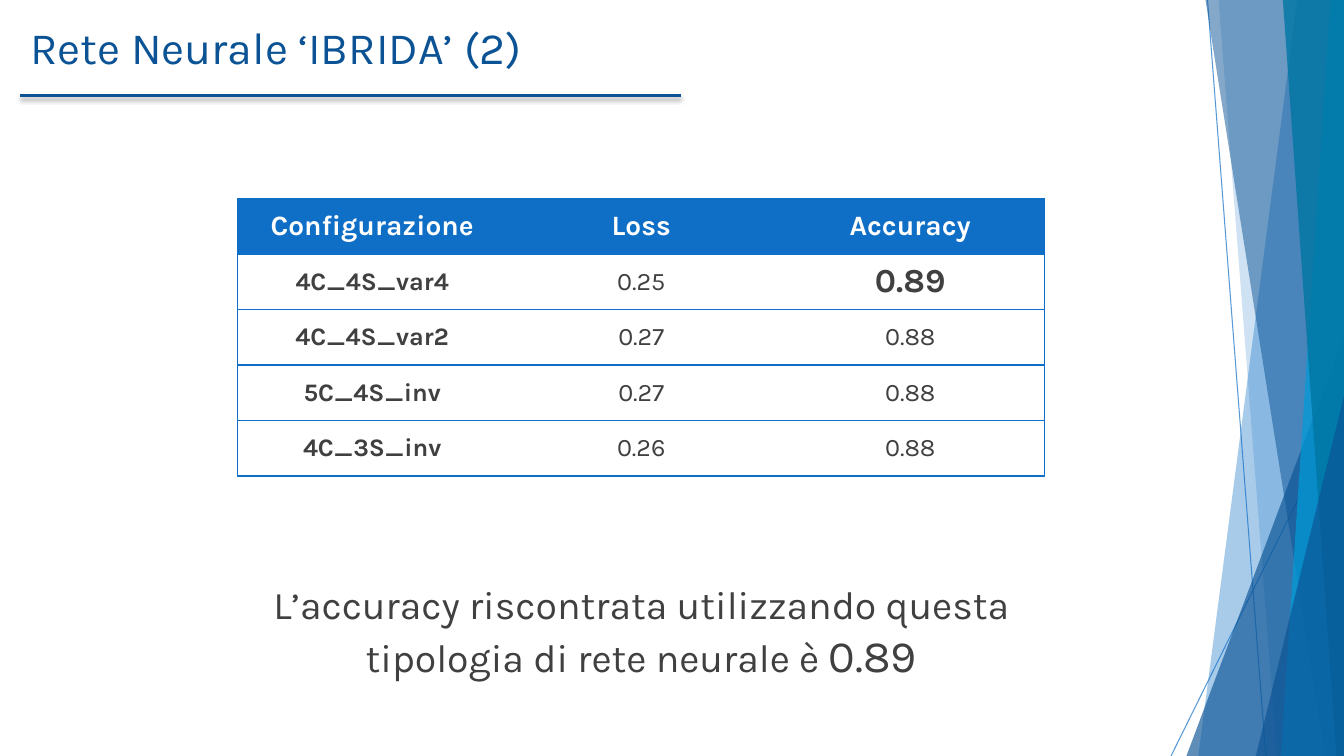
from dataclasses import dataclass

from lxml import etree
from pptx import Presentation
from pptx.dml.color import RGBColor
from pptx.enum.shapes import MSO_CONNECTOR, MSO_SHAPE
from pptx.enum.text import MSO_ANCHOR, PP_ALIGN
from pptx.oxml import parse_xml
from pptx.oxml.ns import nsdecls, qn
from pptx.util import Cm, Pt

STRAIGHT = MSO_CONNECTOR.STRAIGHT
TRIANGLE = MSO_SHAPE.ISOSCELES_TRIANGLE
LEFT, CENTER = PP_ALIGN.LEFT, PP_ALIGN.CENTER
MIDDLE = MSO_ANCHOR.MIDDLE


@dataclass(frozen=True)
class Theme:
    font: str = "Karla"
    blue: str = "0F6FC6"
    navy: str = "0B5394"
    sky: str = "009DD9"
    teal: str = "0076A3"
    ink: str = "404040"
    white: str = "FFFFFF"
    large: int = 32
    statement: int = 28
    best: int = 24
    header: int = 20
    body: int = 18


THEME = Theme()

# Content
TITLE = "Rete Neurale ‘IBRIDA’ (2)"
RESULTS = [
    ("Configurazione", "Loss", "Accuracy"),
    ("4C_4S_var4", "0.25", "0.89"),
    ("4C_4S_var2", "0.27", "0.88"),
    ("5C_4S_inv", "0.27", "0.88"),
    ("4C_3S_inv", "0.26", "0.88"),
]
BEST_CELL = (1, 2)
STATEMENT = [
    ("L’accuracy riscontrata utilizzando questa tipologia di rete neurale è ",
     THEME.statement),
    ("0.89", THEME.large),
]

# Geometry in centimetres
WIDTH, HEIGHT = 33.87, 19.05
TITLE_BOX = (0.51, 0.36, 19.18, 2.13)
TITLE_RULE = (0.51, 2.41, 17.17, 2.41)
TABLE_LEFT, TABLE_TOP = 5.99, 5.0
COLUMN_WIDTH, ROW_HEIGHT = 6.78, 1.4
STATEMENT_BOX = (5.38, 14.5, 21.56, 2.82)
THIN_LINES = [(30.43, 0, 31.9, HEIGHT), (WIDTH, 10.24, 29.51, HEIGHT)]
# Facets reach the right edge: band (top x, bottom x) or triangle (left, top)
FACETS = [
    ("band", 32.69, 30.2, THEME.blue, 36),
    ("band", 30.71, 32.18, THEME.blue, 20),
    ("triangle", 29.9, 8.46, THEME.navy, 66),
    ("band", 30.38, 33.4, THEME.navy, 50),
    ("band", 33.53, 32.28, THEME.sky, 70),
    ("band", 32.33, 33.68, THEME.teal, 80),
    ("triangle", 31.65, 9.98, THEME.navy, 66),
]


def color(value):
    return RGBColor.from_string(value)


def set_opacity(properties, percent):
    tint = next(properties.iter(qn("a:srgbClr")))
    etree.SubElement(tint, qn("a:alpha"), val=str(percent * 1000))


def add_line(page, ends, tint, weight):
    line = page.shapes.add_connector(STRAIGHT, *map(Cm, ends))
    line.line.color.rgb = color(tint)
    line.line.width = Pt(weight)
    effects = etree.SubElement(line._element.spPr, qn("a:effectLst"))
    return line, effects


def add_facet(page, kind, first, second, tint, opacity):
    if kind == "band":
        corners = [(WIDTH, 0), (WIDTH, HEIGHT), (second, HEIGHT)]
        builder = page.shapes.build_freeform(Cm(first), 0)
        builder.add_line_segments([(Cm(x), Cm(y)) for x, y in corners])
        facet = builder.convert_to_shape()
    else:
        facet = page.shapes.add_shape(TRIANGLE, Cm(first), Cm(second),
                                      Cm(WIDTH - first), Cm(HEIGHT - second))
        facet.adjustments[0] = 1
    facet.shadow.inherit = False
    facet.fill.solid()
    facet.fill.fore_color.rgb = color(tint)
    facet.line.fill.background()
    set_opacity(facet._element.spPr, opacity)


def add_span(para, text, size, tint, bold=False):
    span = para.add_run()
    span.text = text
    span.font.name = THEME.font
    span.font.size = Pt(size)
    span.font.bold = bold
    span.font.color.rgb = color(tint)


def add_text(page, place, spans, tint, align):
    box = page.shapes.add_textbox(*map(Cm, place))
    box.text_frame.word_wrap = True
    para = box.text_frame.paragraphs[0]
    para.alignment = align
    for text, size in spans:
        add_span(para, text, size, tint)


def set_borders(cell, sides):
    properties = cell._tc.get_or_add_tcPr()
    for index, side in enumerate(("lnL", "lnR", "lnT", "lnB")):
        paint = (f'<a:solidFill><a:srgbClr val="{THEME.blue}"/></a:solidFill>'
                 if side in sides else "<a:noFill/>")
        properties.insert(index, parse_xml(
            f'<a:{side} {nsdecls("a")} w="{Pt(1)}">{paint}</a:{side}>'))


def add_results(page):
    rows, columns = len(RESULTS), len(RESULTS[0])
    table = page.shapes.add_table(
        rows, columns, Cm(TABLE_LEFT), Cm(TABLE_TOP),
        Cm(COLUMN_WIDTH * columns), Cm(ROW_HEIGHT * rows)).table
    for column in table.columns:
        column.width = Cm(COLUMN_WIDTH)
    for r, values in enumerate(RESULTS):
        table.rows[r].height = Cm(ROW_HEIGHT)
        for c, text in enumerate(values):
            header, best = r == 0, (r, c) == BEST_CELL
            cell = table.cell(r, c)
            cell.vertical_anchor = MIDDLE
            cell.margin_left = cell.margin_right = Cm(0.18)
            cell.margin_top = cell.margin_bottom = 0
            cell.fill.solid()
            cell.fill.fore_color.rgb = color(THEME.blue if header else THEME.white)
            para = cell.text_frame.paragraphs[0]
            para.alignment = CENTER
            para.space_after = Pt(12)
            size = THEME.header if header else THEME.best if best else THEME.body
            add_span(para, text, size, THEME.white if header else THEME.ink,
                     bold=header or best or c == 0)
            sides = {"lnT", "lnB"}
            if c == 0:
                sides.add("lnL")
            if c == columns - 1:
                sides.add("lnR")
            set_borders(cell, sides)


def main():
    deck = Presentation()
    deck.slide_width, deck.slide_height = Cm(WIDTH), Cm(HEIGHT)
    page = deck.slides.add_slide(deck.slide_layouts[6])

    # Faceted decoration on the right
    for ends in THIN_LINES:
        line, _ = add_line(page, ends, THEME.blue, 0.75)
        set_opacity(line._element.spPr, 70)
    for facet in FACETS:
        add_facet(page, *facet)

    # Title and its shadowed rule
    add_text(page, TITLE_BOX, [(TITLE, THEME.large)], THEME.navy, LEFT)
    _, effects = add_line(page, TITLE_RULE, THEME.navy, 2)
    effects.append(parse_xml(
        f'<a:outerShdw {nsdecls("a")} blurRad="{Pt(3)}" dist="{Pt(2)}" '
        'dir="5400000" rotWithShape="0"><a:srgbClr val="000000">'
        '<a:alpha val="35000"/></a:srgbClr></a:outerShdw>'))

    # Results and closing statement
    add_results(page)
    add_text(page, STATEMENT_BOX, STATEMENT, THEME.ink, CENTER)
    deck.save("out.pptx")


if __name__ == "__main__":
    main()
